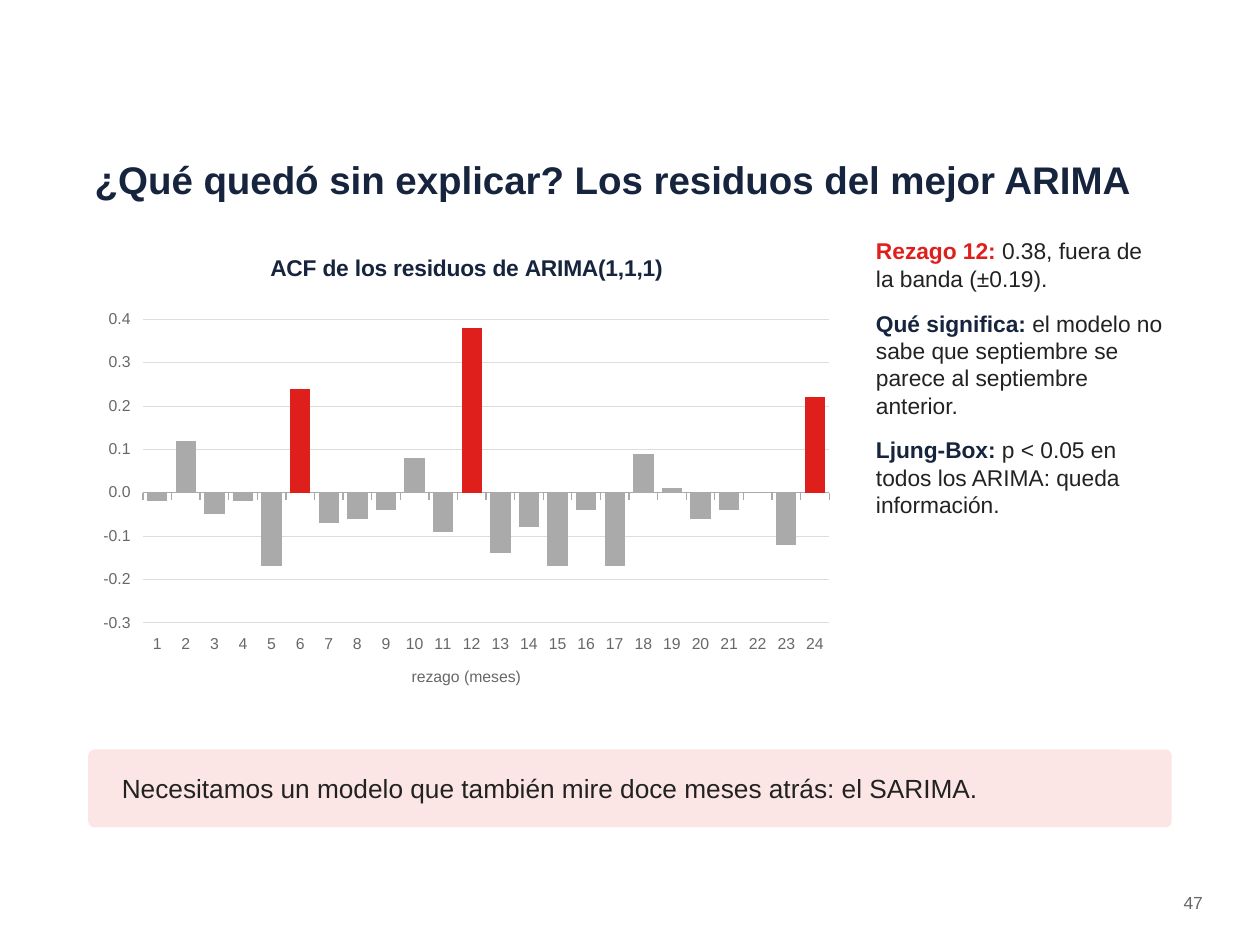
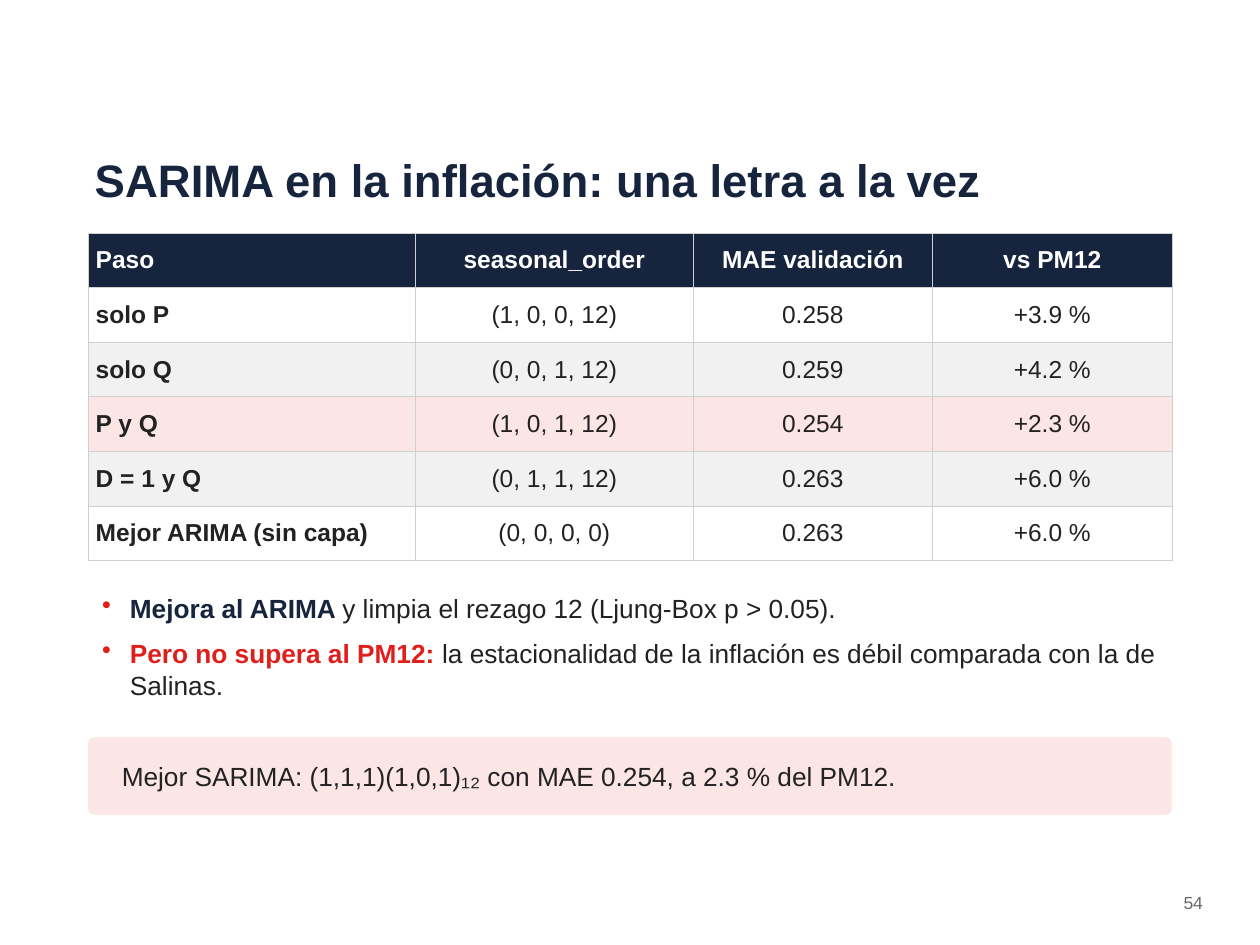
from lxml import etree
from pptx import Presentation
from pptx.chart.data import CategoryChartData
from pptx.dml.color import RGBColor
from pptx.enum.chart import XL_CHART_TYPE, XL_TICK_LABEL_POSITION, XL_TICK_MARK
from pptx.enum.shapes import MSO_SHAPE
from pptx.enum.text import MSO_ANCHOR, MSO_AUTO_SIZE, PP_ALIGN
from pptx.oxml.ns import qn
from pptx.util import Cm, Pt

NAVY = RGBColor(0x16, 0x24, 0x3D)
RED = RGBColor(0xDF, 0x1F, 0x1C)
INK = RGBColor(0x22, 0x22, 0x22)
MUTED = RGBColor(0x68, 0x68, 0x67)
BAR_GRAY = RGBColor(0xAA, 0xAA, 0xAA)
GRID_GRAY = RGBColor(0xDD, 0xDD, 0xDD)
BORDER_GRAY = RGBColor(0xD0, 0xD0, 0xD0)
STRIPE = RGBColor(0xF1, 0xF1, 0xF1)
PINK = RGBColor(0xFB, 0xE6, 0xE5)
WHITE = RGBColor(0xFF, 0xFF, 0xFF)
FONT = "Arial"

LEFT, WIDTH = Cm(1.78), Cm(21.84)
CONTENT_TOP = Cm(4.7)
TEXT_INSETS = (Cm(0.13), Cm(0.08), Cm(0.13), Cm(0.08))

RESIDUALS = {
    "title": ("¿Qué quedó sin explicar? Los residuos del mejor ARIMA", 22),
    "page": "47",
    "chart_title": "ACF de los residuos de ARIMA(1,1,1)",
    "lag_label": "rezago (meses)",
    "acf": [-0.02, 0.12, -0.05, -0.02, -0.17, 0.24, -0.07, -0.06,
            -0.04, 0.08, -0.09, 0.38, -0.14, -0.08, -0.17, -0.04,
            -0.17, 0.09, 0.01, -0.06, -0.04, 0, -0.12, 0.22],
    "band": 0.19,
    "findings": [
        ("Rezago 12: ", RED, "0.38, fuera de la banda (±0.19)."),
        ("Qué significa: ", NAVY,
         "el modelo no sabe que septiembre se parece al septiembre anterior."),
        ("Ljung-Box: ", NAVY, "p < 0.05 en todos los ARIMA: queda información."),
    ],
    "callout": "Necesitamos un modelo que también mire doce meses atrás: el SARIMA.",
}

SEASONAL = {
    "title": ("SARIMA en la inflación: una letra a la vez", 26),
    "page": "54",
    "steps": [
        ("Paso", "seasonal_order", "MAE validación", "vs PM12"),
        ("solo P", "(1, 0, 0, 12)", "0.258", "+3.9 %"),
        ("solo Q", "(0, 0, 1, 12)", "0.259", "+4.2 %"),
        ("P y Q", "(1, 0, 1, 12)", "0.254", "+2.3 %"),
        ("D = 1 y Q", "(0, 1, 1, 12)", "0.263", "+6.0 %"),
        ("Mejor ARIMA (sin capa)", "(0, 0, 0, 0)", "0.263", "+6.0 %"),
    ],
    "best_step": "P y Q",
    "column_widths": [Cm(6.6), Cm(5.59), Cm(4.83), Cm(4.83)],
    "conclusions": [
        ("Mejora al ARIMA ", NAVY, "y limpia el rezago 12 (Ljung-Box p > 0.05)."),
        ("Pero no supera al PM12: ", RED,
         "la estacionalidad de la inflación es débil comparada con la de Salinas."),
    ],
    "callout": "Mejor SARIMA: (1,1,1)(1,0,1)₁₂ con MAE 0.254, a 2.3 % del PM12.",
}


def style_font(font, size, color, bold=False):
    for attribute, value in {"name": FONT, "size": Pt(size), "bold": bold}.items():
        setattr(font, attribute, value)
    font.color.rgb = color


def add_run(paragraph, text, size, color, bold=False):
    run = paragraph.add_run()
    run.text = text
    style_font(run.font, size, color, bold)


def prepare_frame(frame, anchor=MSO_ANCHOR.TOP, insets=TEXT_INSETS):
    sides = ("margin_left", "margin_top", "margin_right", "margin_bottom")
    settings = {"word_wrap": True, "auto_size": MSO_AUTO_SIZE.NONE,
                "vertical_anchor": anchor, **dict(zip(sides, insets))}
    for attribute, value in settings.items():
        setattr(frame, attribute, value)
    return frame


def add_bullet(paragraph):
    properties = paragraph._p.get_or_add_pPr()
    properties.set("marL", str(Cm(0.71)))
    properties.set("indent", str(-Cm(0.56)))
    color = etree.SubElement(properties, qn("a:buClr"))
    etree.SubElement(color, qn("a:srgbClr"), val=str(RED))
    etree.SubElement(properties, qn("a:buChar"), char="•")


def add_lead_ins(slide, items, box, size, gap, bulleted=False):
    """Paragraphs that each open with a bold coloured phrase."""
    frame = prepare_frame(slide.shapes.add_textbox(*box).text_frame)
    for index, (lead, color, rest) in enumerate(items):
        paragraph = frame.add_paragraph() if index else frame.paragraphs[0]
        if bulleted:
            add_bullet(paragraph)
        paragraph.space_after = Pt(gap)
        add_run(paragraph, lead, size, color, bold=True)
        add_run(paragraph, rest, size, INK)


def start_slide(deck, content):
    """Title-only slide with its heading and page number."""
    slide = deck.slides.add_slide(deck.slide_layouts[5])
    heading = slide.shapes.title
    place = {"left": LEFT, "top": Cm(2.67), "width": WIDTH, "height": Cm(1.9)}
    for attribute, value in place.items():
        setattr(heading, attribute, value)
    paragraph = prepare_frame(heading.text_frame, MSO_ANCHOR.MIDDLE).paragraphs[0]
    paragraph.alignment = PP_ALIGN.LEFT
    text, size = content["title"]
    add_run(paragraph, text, size, NAVY, bold=True)

    page = slide.shapes.add_textbox(Cm(22.86), Cm(17.91), Cm(1.52), Cm(0.76))
    paragraph = prepare_frame(page.text_frame).paragraphs[0]
    paragraph.alignment = PP_ALIGN.RIGHT
    add_run(paragraph, content["page"], 10, MUTED)
    return slide


def add_callout(slide, text, top):
    band = slide.shapes.add_shape(MSO_SHAPE.ROUNDED_RECTANGLE, LEFT, top, WIDTH, Cm(1.57))
    band.adjustments[0] = 0.08
    band.shadow.inherit = False
    band.fill.solid()
    band.fill.fore_color.rgb = PINK
    band.line.fill.background()
    insets = (Cm(0.64), Cm(0.08), Cm(0.64), Cm(0.08))
    paragraph = prepare_frame(band.text_frame, MSO_ANCHOR.MIDDLE, insets).paragraphs[0]
    paragraph.alignment = PP_ALIGN.LEFT
    add_run(paragraph, text, 15, INK)


def add_acf_chart(slide, content):
    """Column chart that marks in red the lags above the band."""
    acf = content["acf"]
    chart_data = CategoryChartData(number_format="0.00")
    chart_data.categories = [str(lag) for lag in range(1, len(acf) + 1)]
    chart_data.add_series("ACF", acf)
    chart = slide.shapes.add_chart(XL_CHART_TYPE.COLUMN_CLUSTERED, LEFT, CONTENT_TOP,
                                   Cm(15.24), Cm(9.65), chart_data).chart
    style_font(chart.font, 9, MUTED)
    chart.has_legend = False
    chart.has_title = True
    chart.chart_title.include_in_layout = False
    add_run(chart.chart_title.text_frame.paragraphs[0],
            content["chart_title"], 13, NAVY, bold=True)

    lags = chart.category_axis
    lags.tick_label_position = XL_TICK_LABEL_POSITION.LOW
    lags.format.line.color.rgb = BAR_GRAY
    lags.format.line.width = Pt(0.75)
    add_run(lags.axis_title.text_frame.paragraphs[0], content["lag_label"], 9, MUTED)

    levels = chart.value_axis
    for attribute, value in {"minimum_scale": -0.3, "maximum_scale": 0.45,
                             "major_unit": 0.1}.items():
        setattr(levels, attribute, value)
    levels.tick_labels.number_format = "0.0"
    levels.tick_labels.number_format_is_linked = False
    levels.format.line.fill.background()
    levels.major_gridlines.format.line.color.rgb = GRID_GRAY
    levels.major_gridlines.format.line.width = Pt(0.5)

    for axis in (lags, levels):
        axis.major_tick_mark = XL_TICK_MARK.OUTSIDE
        style_font(axis.tick_labels.font, 9, MUTED)

    plot = chart.plots[0]
    plot.gap_width = 40
    plot.vary_by_categories = False
    bars = plot.series[0]
    bars.invert_if_negative = False
    bars.format.fill.solid()
    bars.format.fill.fore_color.rgb = BAR_GRAY
    for index, value in enumerate(acf):
        if value > content["band"]:
            fill = bars.points[index].format.fill
            fill.solid()
            fill.fore_color.rgb = RED


def add_cell_borders(cell):
    properties = cell._tc.get_or_add_tcPr()
    for side in ("a:lnL", "a:lnR", "a:lnT", "a:lnB"):
        line = etree.SubElement(properties, qn(side), w=str(Pt(0.5)))
        fill = etree.SubElement(line, qn("a:solidFill"))
        etree.SubElement(fill, qn("a:srgbClr"), val=str(BORDER_GRAY))


def add_steps_table(slide, content):
    steps, widths = content["steps"], content["column_widths"]
    row_height = Cm(1.1)
    table = slide.shapes.add_table(len(steps), len(widths), LEFT, CONTENT_TOP,
                                   sum(widths), row_height * len(steps)).table
    table.horz_banding = False
    for column, width in zip(table.columns, widths):
        column.width = width
    for row, step in enumerate(steps):
        if row == 0:
            background = NAVY
        elif step[0] == content["best_step"]:
            background = PINK
        else:
            background = WHITE if row % 2 else STRIPE
        for column, text in enumerate(step):
            cell = table.cell(row, column)
            add_cell_borders(cell)
            cell.fill.solid()
            cell.fill.fore_color.rgb = background
            cell.vertical_anchor = MSO_ANCHOR.MIDDLE
            cell.margin_left = cell.margin_right = Cm(0.15)
            cell.margin_top = cell.margin_bottom = Cm(0.08)
            paragraph = cell.text_frame.paragraphs[0]
            paragraph.alignment = PP_ALIGN.CENTER if column else PP_ALIGN.LEFT
            add_run(paragraph, text, 14, INK if row else WHITE,
                    bold=row == 0 or column == 0)


def main():
    deck = Presentation()
    deck.slide_width, deck.slide_height = Cm(25.4), Cm(19.05)

    slide = start_slide(deck, RESIDUALS)
    add_acf_chart(slide, RESIDUALS)
    add_lead_ins(slide, RESIDUALS["findings"],
                 (Cm(17.53), CONTENT_TOP, Cm(6.1), Cm(9.65)), size=13, gap=10)
    add_callout(slide, RESIDUALS["callout"], Cm(15.11))

    slide = start_slide(deck, SEASONAL)
    add_steps_table(slide, SEASONAL)
    add_lead_ins(slide, SEASONAL["conclusions"],
                 (LEFT, Cm(11.86), WIDTH, Cm(2.54)), size=15, gap=8, bulleted=True)
    add_callout(slide, SEASONAL["callout"], Cm(14.86))

    deck.save("out.pptx")


if __name__ == "__main__":
    main()
